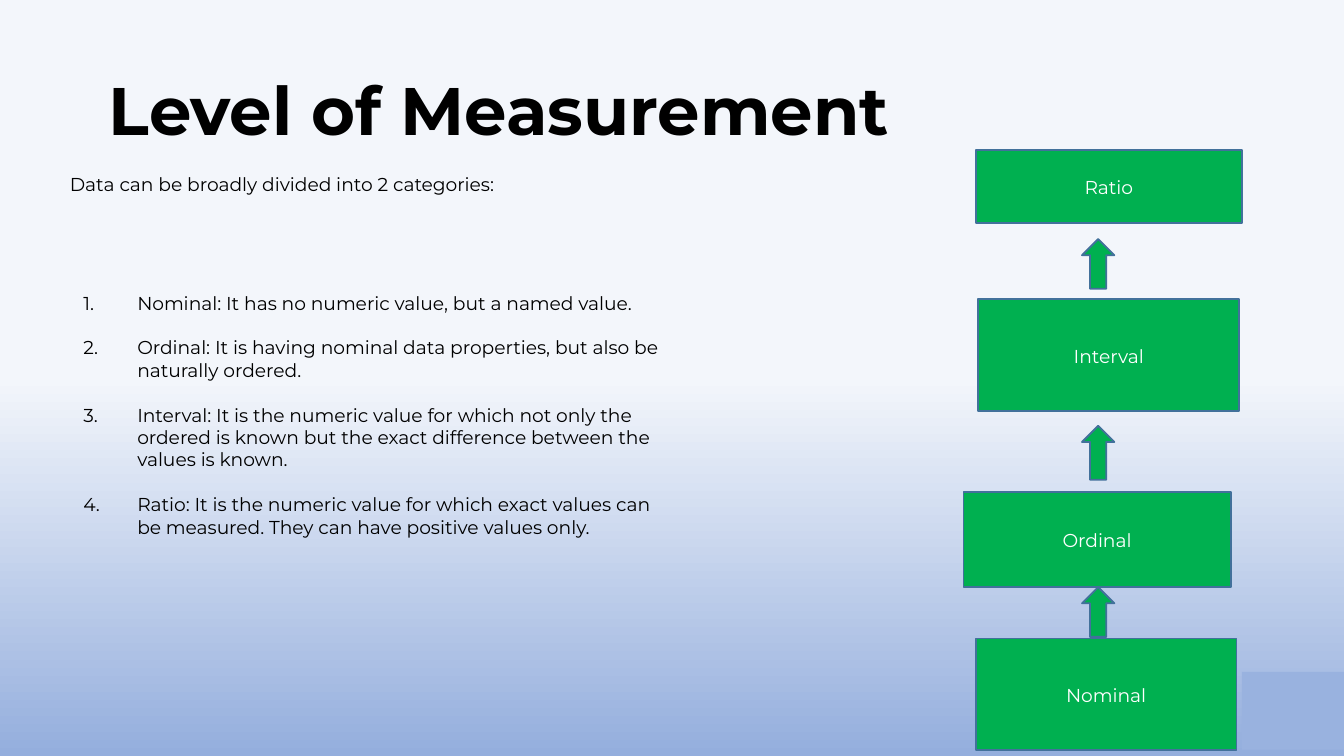
from dataclasses import dataclass
from typing import Optional

import pptx
import pptx.util
import pptx.dml.color
import pptx.enum.shapes
import pptx.enum.text
import pptx.oxml.ns
from lxml import etree

Cm = pptx.util.Cm
Pt = pptx.util.Pt
RGBColor = pptx.dml.color.RGBColor
Shape = pptx.enum.shapes.MSO_SHAPE
Align = pptx.enum.text.PP_ALIGN
Anchor = pptx.enum.text.MSO_ANCHOR

BLACK = RGBColor(0x00, 0x00, 0x00)
WHITE = RGBColor(0xFF, 0xFF, 0xFF)
GREEN = RGBColor(0x00, 0xB0, 0x50)
OUTLINE = RGBColor(0x42, 0x71, 0x9B)
SKY_TOP = RGBColor(0xF3, 0xF6, 0xFB)
SKY_BOTTOM = RGBColor(0x94, 0xAE, 0xDD)
CORNER = RGBColor(0x99, 0xB2, 0xDF)
FONT = "Montserrat"


@dataclass
class Frame:
    """Position and size in centimetres."""
    left: float
    top: float
    width: float
    height: float


@dataclass
class Level:
    name: str
    frame: Frame


@dataclass
class Arrow:
    top: float
    height: float


LEVELS = [
    Level("Nominal", Frame(18.44, 12.07, 4.93, 2.11)),
    Level("Ordinal", Frame(18.21, 9.3, 5.05, 1.8)),
    Level("Interval", Frame(18.49, 5.66, 4.93, 2.11)),
    Level("Ratio", Frame(18.44, 2.84, 5.03, 1.37)),
]
ARROWS = [Arrow(4.52, 0.94), Arrow(8.05, 1.02), Arrow(11.1, 0.94)]
ARROW_LEFT, ARROW_WIDTH = 20.45, 0.61

DEFINITIONS = [
    "Nominal: It has no numeric value, but a named value.",
    "Ordinal: It is having nominal data properties, but also be naturally ordered.",
    "Interval: It is the numeric value for which not only the ordered is known "
    "but the exact difference between the values is known.",
    "Ratio: It is the numeric value for which exact values can be measured. "
    "They can have positive values only.",
]


def place(box, frame: Frame) -> None:
    box.left, box.top = Cm(frame.left), Cm(frame.top)
    box.width, box.height = Cm(frame.width), Cm(frame.height)


def write(box, *lines: str, size: float = 10, color: RGBColor = BLACK,
          bold: bool = False, align=Align.LEFT, anchor=Anchor.TOP,
          line_spacing: float = 1.0, gap: float = 0) -> None:
    """Fill the box with one paragraph per line, gap points apart."""
    text = box.text_frame
    text.word_wrap = True
    text.auto_size = pptx.enum.text.MSO_AUTO_SIZE.NONE
    text.vertical_anchor = anchor
    for index, line in enumerate(lines):
        para = text.add_paragraph() if index else text.paragraphs[0]
        para.alignment = align
        para.line_spacing = line_spacing
        para.space_before = Pt(gap if index else 0)
        para.space_after = Pt(0)
        span = para.add_run()
        span.text = line
        span.font.name = FONT
        span.font.size = Pt(size)
        span.font.bold = bold
        span.font.color.rgb = color


def number_paragraphs(box, indent: float, hanging: float) -> None:
    qn = pptx.oxml.ns.qn
    for para in box.text_frame.paragraphs:
        props = para._p.get_or_add_pPr()
        props.set("marL", str(Cm(indent)))
        props.set("indent", str(-Cm(hanging)))
        tint = etree.SubElement(props, qn("a:buClr"))
        etree.SubElement(tint, qn("a:srgbClr"), val=str(BLACK))
        etree.SubElement(props, qn("a:buFont"), typeface=FONT)
        etree.SubElement(props, qn("a:buAutoNum"), type="arabicPeriod")


def add_block(page, kind, frame: Frame, fill: RGBColor,
              outline: Optional[RGBColor] = None):
    block = page.shapes.add_shape(kind, 0, 0, 0, 0)
    place(block, frame)
    block.shadow.inherit = False
    block.fill.solid()
    block.fill.fore_color.rgb = fill
    if outline is None:
        block.line.fill.background()
    else:
        block.line.color.rgb = outline
        block.line.width = Pt(1)
    return block


def paint_background(page) -> None:
    fill = page.background.fill
    fill.gradient()
    fill.gradient_angle = 270
    stops = zip(fill.gradient_stops, (0.5, 1.0), (SKY_TOP, SKY_BOTTOM))
    for stop, position, color in stops:
        stop.position = position
        stop.color.rgb = color


def main() -> None:
    deck = pptx.Presentation()
    deck.slide_width, deck.slide_height = Cm(25.4), Cm(14.29)
    page = deck.slides.add_slide(deck.slide_layouts[1])
    paint_background(page)

    title, body = page.placeholders
    place(title, Frame(1.8, 1.17, 15.52, 1.8))
    write(title, "Level of Measurement", size=36, bold=True)

    intro = page.shapes.add_textbox(0, 0, 0, 0)
    place(intro, Frame(1.07, 3.15, 16, 1.12))
    write(intro, "Data can be broadly divided into 2 categories:")

    place(body, Frame(1.07, 5.38, 11.94, 4.95))
    write(body, *DEFINITIONS, gap=12)
    number_paragraphs(body, indent=1.27, hanging=1.02)

    for level in LEVELS:
        block = add_block(page, Shape.RECTANGLE, level.frame, GREEN, OUTLINE)
        write(block, level.name, color=WHITE, align=Align.CENTER,
              anchor=Anchor.MIDDLE, line_spacing=1.07)
    for arrow in ARROWS:
        frame = Frame(ARROW_LEFT, arrow.top, ARROW_WIDTH, arrow.height)
        add_block(page, Shape.UP_ARROW, frame, GREEN, OUTLINE)
    add_block(page, Shape.RECTANGLE, Frame(23.47, 12.7, 1.93, 1.47), CORNER)

    deck.save("out.pptx")


if __name__ == "__main__":
    main()
